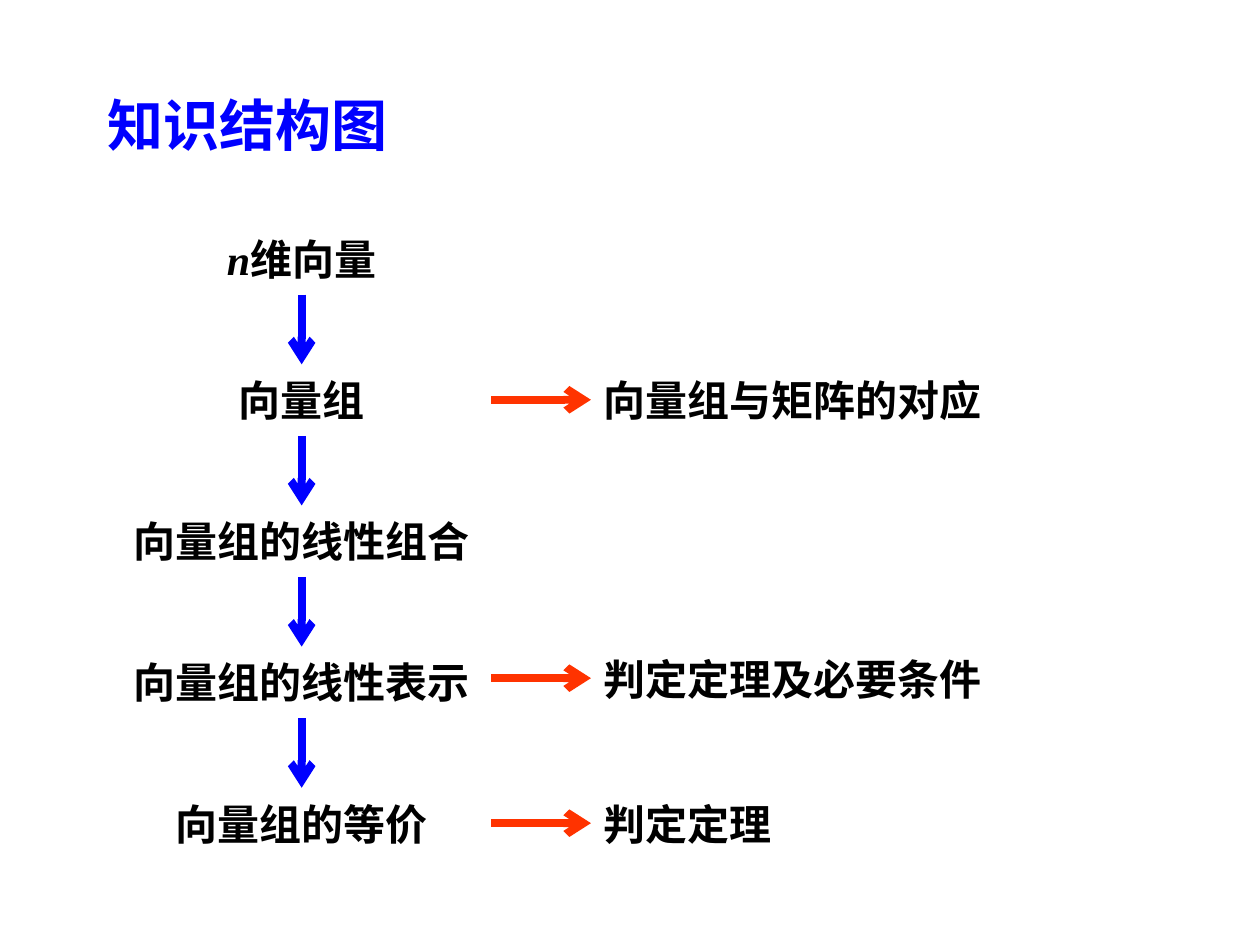
from lxml.etree import SubElement
from pptx import Presentation
from pptx.dml.color import RGBColor
from pptx.enum.shapes import MSO_CONNECTOR
from pptx.enum.text import MSO_ANCHOR, MSO_AUTO_SIZE, PP_ALIGN
from pptx.oxml.ns import qn
from pptx.util import Pt

BLUE = RGBColor(0x00, 0x00, 0xFF)
RED = RGBColor(0xFF, 0x33, 0x00)
BLACK = RGBColor(0x00, 0x00, 0x00)
LATIN = "Times New Roman"
CHINESE = "Noto Sans CJK SC"

HEADING = {"name": LATIN, "size": Pt(32), "bold": True}
LABEL = {"name": CHINESE, "size": Pt(24), "bold": True, "italic": False}
SYMBOL = LABEL | {"name": LATIN, "italic": True}
FRAME = {
    "word_wrap": True,
    "auto_size": MSO_AUTO_SIZE.NONE,
    "vertical_anchor": MSO_ANCHOR.MIDDLE,
    "margin_left": Pt(7.2),
    "margin_right": Pt(7.2),
    "margin_top": Pt(3.6),
    "margin_bottom": Pt(3.6),
}

CHAIN_CENTER = 172.4
CHAIN_TOP = 123.8
STEP = 80.65
LABEL_HEIGHT = 48
DOWN_START, DOWN_LENGTH = 44.6, 39.8
BRANCH_START, BRANCH_END, BRANCH_WIDTH = 280.8, 337.7, 345.6

CHAIN = [
    ([("n", SYMBOL), ("维向量", LABEL)], 136),
    ([("向量组", LABEL)], 136),
    ([("向量组的线性组合", LABEL)], 284),
    ([("向量组的线性表示", LABEL)], 284),
    ([("向量组的等价", LABEL)], 284),
]
BRANCHES = [
    (1, 0, "向量组与矩阵的对应"),
    (3, -2.2, "判定定理及必要条件"),
    (4, 0, "判定定理"),
]


def apply(target, values):
    for name, value in values.items():
        setattr(target, name, value)


class Diagram:
    def __init__(self, slide):
        self.slide = slide

    def fill_text(self, frame, parts, color, align):
        apply(frame, FRAME)
        paragraph = frame.paragraphs[0]
        paragraph.alignment = align
        for text, style in parts:
            run = paragraph.add_run()
            run.text = text
            apply(run.font, style)
            run.font.color.rgb = color
            SubElement(run.font._element, qn("a:ea"), typeface=CHINESE)

    def title(self, text, left, top, width, height):
        heading = self.slide.shapes.title
        apply(heading, {"left": Pt(left), "top": Pt(top),
                        "width": Pt(width), "height": Pt(height)})
        self.fill_text(heading.text_frame, [(text, HEADING)], BLUE, PP_ALIGN.LEFT)

    def label(self, parts, left, top, width, align):
        box = self.slide.shapes.add_textbox(
            Pt(left), Pt(top), Pt(width), Pt(LABEL_HEIGHT))
        self.fill_text(box.text_frame, parts, BLACK, align)

    def arrow(self, x1, y1, x2, y2, color):
        connector = self.slide.shapes.add_connector(
            MSO_CONNECTOR.STRAIGHT, Pt(x1), Pt(y1), Pt(x2), Pt(y2))
        connector.line.color.rgb = color
        connector.line.width = Pt(4.5)
        properties = connector._element.spPr
        SubElement(properties.find(qn("a:ln")), qn("a:tailEnd"), type="arrow")
        SubElement(properties, qn("a:effectLst"))


def main():
    deck = Presentation()
    apply(deck, {"slide_width": Pt(720), "slide_height": Pt(540)})
    diagram = Diagram(deck.slides.add_slide(deck.slide_layouts[5]))
    diagram.title("知识结构图", 54, 26, 612, 90)

    for level, (parts, width) in enumerate(CHAIN):
        top = CHAIN_TOP + level * STEP
        diagram.label(parts, CHAIN_CENTER - width / 2, top, width, PP_ALIGN.CENTER)
        if level < len(CHAIN) - 1:
            start = top + DOWN_START
            diagram.arrow(CHAIN_CENTER, start, CHAIN_CENTER, start + DOWN_LENGTH, BLUE)

    for level, shift, text in BRANCHES:
        top = CHAIN_TOP + level * STEP + shift
        middle = top + LABEL_HEIGHT / 2
        diagram.arrow(BRANCH_START, middle, BRANCH_END, middle, RED)
        diagram.label([(text, LABEL)], BRANCH_END, top, BRANCH_WIDTH, PP_ALIGN.LEFT)

    deck.save("out.pptx")


if __name__ == "__main__":
    main()
